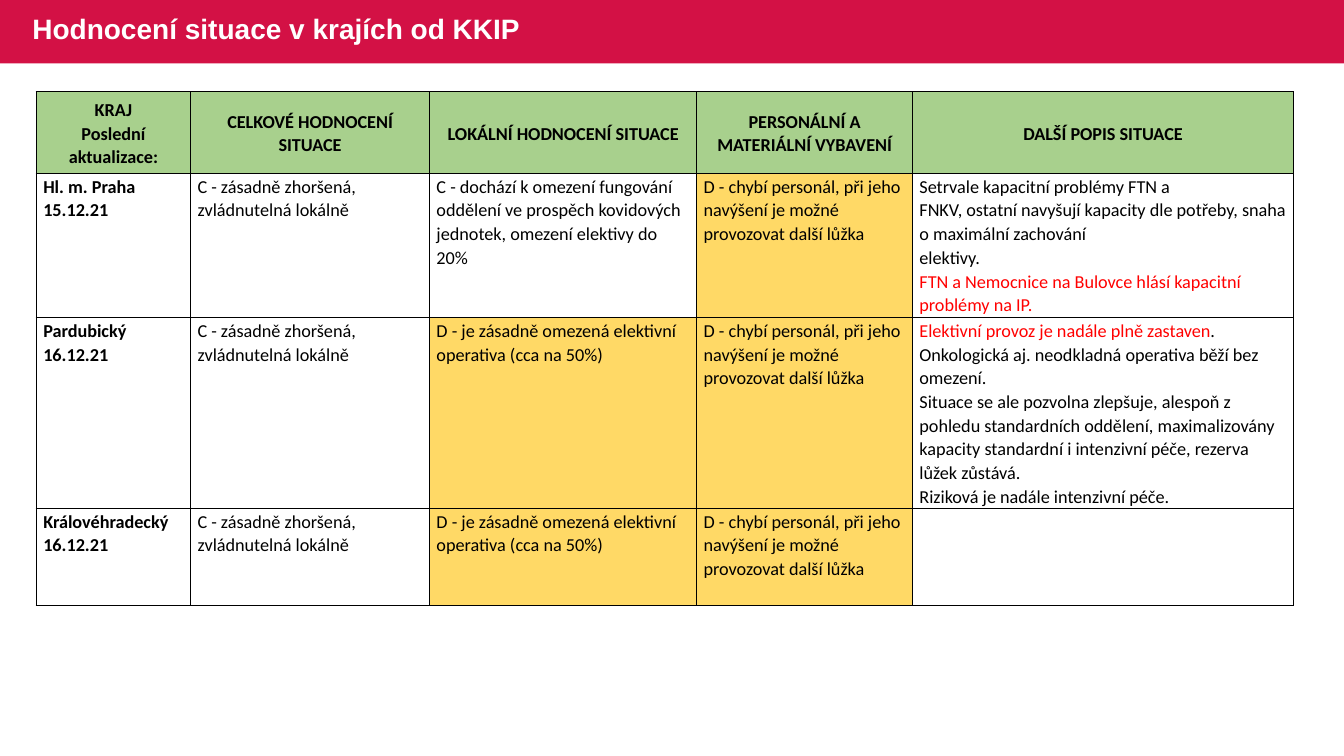
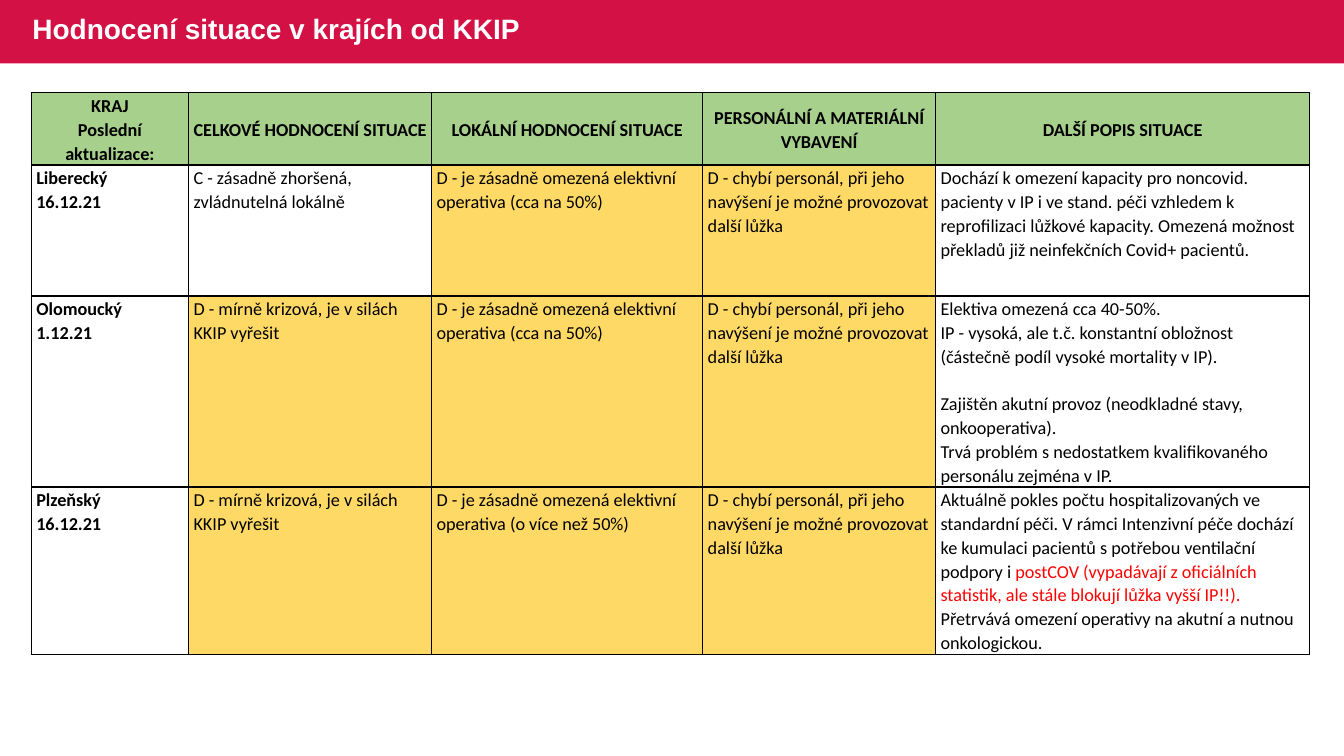
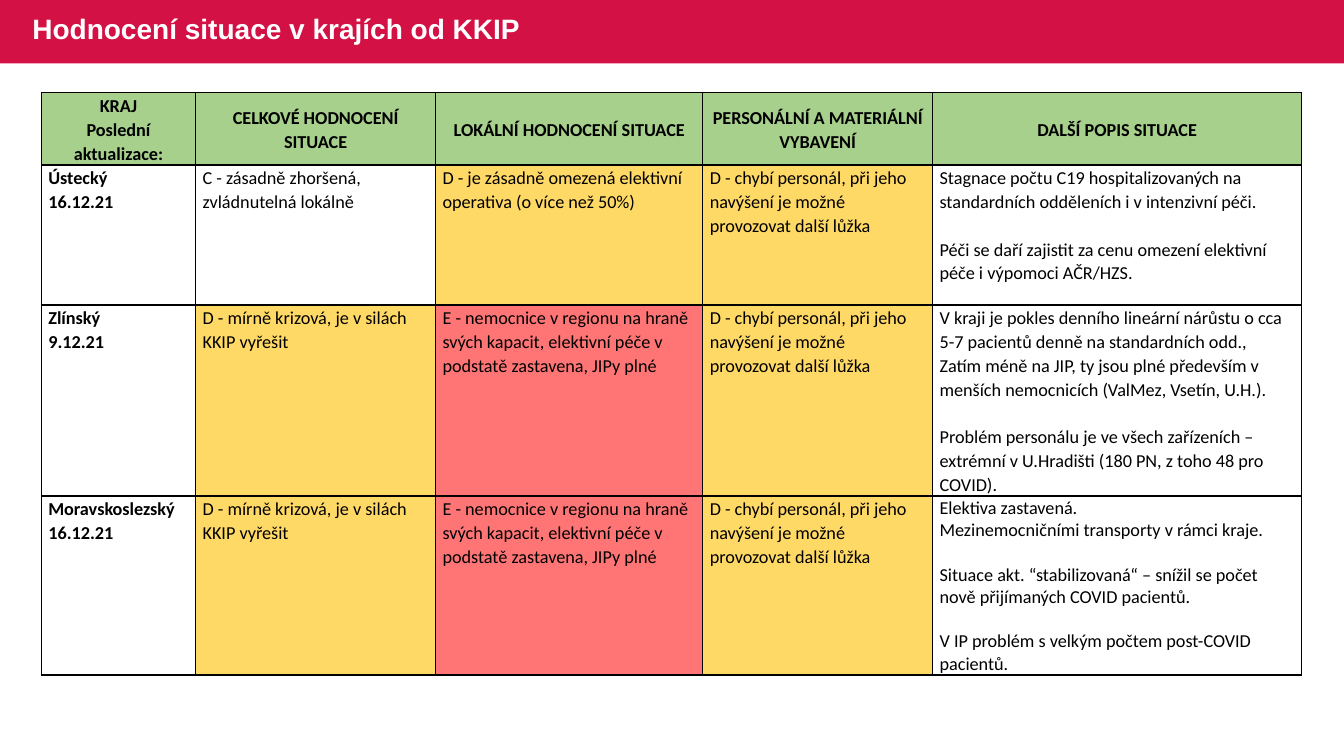
from dataclasses import dataclass

from lxml.etree import SubElement
from pptx import Presentation
from pptx.dml.color import RGBColor
from pptx.enum.shapes import MSO_SHAPE
from pptx.enum.text import MSO_ANCHOR, MSO_AUTO_SIZE, PP_ALIGN
from pptx.oxml.ns import qn
from pptx.util import Inches, Pt

CRIMSON, WHITE, BLACK, RED = "D31145", "FFFFFF", "000000", "FF0000"
HEADER_FILL = "A8D08D"
GRADE_FILLS = {"D": "FFD966", "E": "FF7575"}
TITLE = "Hodnocení situace v krajích od KKIP"
BODY_SIZE = 13
LINE_SPACING = 1.07
LINE_HEIGHT = 1.22

HEADERS = [
    "KRAJ\nPoslední aktualizace:",
    "CELKOVÉ HODNOCENÍ SITUACE",
    "LOKÁLNÍ HODNOCENÍ SITUACE",
    "PERSONÁLNÍ A MATERIÁLNÍ VYBAVENÍ",
    "DALŠÍ POPIS SITUACE",
]
WORSENED = "C - zásadně zhoršená, zvládnutelná lokálně"
CRISIS = "D - mírně krizová, je v silách KKIP vyřešit"
LIMITED = (
    "C - dochází k omezení fungování oddělení ve prospěch kovidových jednotek, "
    "omezení elektivy do 20%"
)
HALF = "D - je zásadně omezená elektivní operativa (cca na 50%)"
OVER_HALF = "D - je zásadně omezená elektivní operativa (o více než 50%)"
EDGE = (
    "E - nemocnice v regionu na hraně svých kapacit, elektivní péče v podstatě "
    "zastavena, JIPy plné"
)
STAFF = "D - chybí personál, při jeho navýšení je možné provozovat další lůžka"


@dataclass
class Region:
    """One table row; text between bars in the note is red."""
    name: str
    updated: str
    overall: str
    local: str
    note: str = ""
    note_spacing: float = LINE_SPACING


@dataclass
class Page:
    """The table of one slide, with lengths in inches."""
    left: float
    top: float
    widths: list
    heights: list
    inset: float
    regions: list


PAGES = [
    Page(0.36, 0.91, [1.53, 2.37, 2.65, 2.14, 3.78], [0.81, 1.43, 1.89, 0.96], 0.07, [
        Region("Hl. m. Praha", "15.12.21", WORSENED, LIMITED,
               "Setrvale kapacitní problémy FTN a\n"
               "FNKV, ostatní navyšují kapacity dle potřeby, snaha o maximální zachování\n"
               "elektivy.\n"
               "|FTN a Nemocnice na Bulovce hlásí kapacitní problémy na IP.|"),
        Region("Pardubický", "16.12.21", WORSENED, HALF,
               "|Elektivní provoz je nadále plně zastaven|. Onkologická aj. neodkladná "
               "operativa běží bez omezení.\n"
               "Situace se ale pozvolna zlepšuje, alespoň z pohledu standardních oddělení, "
               "maximalizovány kapacity standardní i intenzivní péče, rezerva lůžek zůstává.\n"
               "Riziková je nadále intenzivní péče."),
        Region("Královéhradecký", "16.12.21", WORSENED, HALF),
    ]),
    Page(0.31, 0.92, [1.56, 2.41, 2.69, 2.31, 3.71], [0.71, 1.3, 1.89, 1.66], 0.05, [
        Region("Liberecký", "16.12.21", WORSENED, HALF,
               "Dochází k omezení kapacity pro noncovid. pacienty v IP i ve stand. péči "
               "vzhledem k reprofilizaci lůžkové kapacity. Omezená možnost překladů již "
               "neinfekčních Covid+ pacientů."),
        Region("Olomoucký", "1.12.21", CRISIS, HALF,
               "Elektiva omezená cca 40-50%.\n"
               "IP - vysoká, ale t.č. konstantní obložnost (částečně podíl vysoké "
               "mortality v IP).\n\n"
               "Zajištěn akutní provoz (neodkladné stavy, onkooperativa).\n"
               "Trvá problém s nedostatkem kvalifikovaného personálu zejména v IP."),
        Region("Plzeňský", "16.12.21", CRISIS, OVER_HALF,
               "Aktuálně pokles počtu hospitalizovaných ve standardní péči. V rámci "
               "Intenzivní péče dochází ke kumulaci pacientů s potřebou ventilační podpory "
               "i |postCOV (vypadávají z oficiálních statistik, ale stále blokují lůžka "
               "vyšší IP!!).|\n"
               "Přetrvává omezení operativy na akutní a nutnou onkologickou."),
    ]),
    Page(0.41, 0.92, [1.53, 2.38, 2.65, 2.28, 3.66], [0.71, 1.39, 1.89, 1.77], 0.07, [
        Region("Ústecký", "16.12.21", WORSENED, OVER_HALF,
               "Stagnace počtu C19 hospitalizovaných na standardních odděleních i v "
               "intenzivní péči.\n\n"
               "Péči se daří zajistit za cenu omezení elektivní péče i výpomoci AČR/HZS."),
        Region("Zlínský", "9.12.21", CRISIS, EDGE,
               "V kraji je pokles denního lineární nárůstu o cca 5-7 pacientů denně na "
               "standardních odd.,\n"
               "Zatím méně na JIP, ty jsou plné především v menších nemocnicích "
               "(ValMez, Vsetín, U.H.).\n\n"
               "Problém personálu je ve všech zařízeních – extrémní v U.Hradišti "
               "(180 PN, z toho 48 pro COVID)."),
        Region("Moravskoslezský", "16.12.21", CRISIS, EDGE,
               "Elektiva zastavená.\n"
               "Mezinemocničními transporty v rámci kraje.\n\n"
               "Situace akt. “stabilizovaná“ – snížil se počet nově přijímaných COVID "
               "pacientů.\n\n"
               "V IP problém s velkým počtem post-COVID pacientů.", 1.0),
    ]),
]


def rgb(color):
    """Turn a hex string into a colour."""
    return RGBColor.from_string(color)


def style(font, name, size, color, bold):
    """Format one font."""
    font.name, font.size, font.bold = name, Pt(size), bold
    font.color.rgb = rgb(color)


def add_band(s, layout, width):
    """Draw the title band and hand it to the layout."""
    sp = s.shapes.add_shape(MSO_SHAPE.RECTANGLE, 0, 0, width, Inches(0.63))
    sp.shadow.inherit = False
    sp.fill.solid()
    sp.fill.fore_color.rgb = rgb(CRIMSON)
    sp.line.fill.background()
    layout.shapes.element.insert(2, sp.element)


def add_title(s):
    """Place the title on the band."""
    sp = s.shapes.title
    sp.left, sp.top = Inches(0.22), Inches(-0.01)
    sp.width, sp.height = Inches(8.14), Inches(0.63)
    tf = sp.text_frame
    tf.text = TITLE
    tf.auto_size = MSO_AUTO_SIZE.NONE
    tf.vertical_anchor = MSO_ANCHOR.MIDDLE
    p = tf.paragraphs[0]
    p.alignment, p.line_spacing = PP_ALIGN.LEFT, 0.9
    style(p.runs[0].font, "Arial", 20, WHITE, True)


def add_borders(cell):
    """Give a cell thin black borders."""
    tc_pr = cell._tc.get_or_add_tcPr()
    for i, side in enumerate(("lnL", "lnR", "lnT", "lnB")):
        ln = SubElement(tc_pr, qn(f"a:{side}"), w=str(Pt(1)))
        fill = SubElement(ln, qn("a:solidFill"))
        SubElement(fill, qn("a:srgbClr"), val=BLACK)
        tc_pr.insert(i, ln)


def fill_cell(cell, text, inset, fill=None, bold=False, header=False, spacing=LINE_SPACING):
    """Format a cell; an empty line in the text becomes space before the next."""
    cell.margin_left = cell.margin_right = Inches(inset)
    cell.margin_top, cell.margin_bottom = Inches(0.01), 0
    cell.vertical_anchor = MSO_ANCHOR.MIDDLE if header else MSO_ANCHOR.TOP
    if fill:
        cell.fill.solid()
        cell.fill.fore_color.rgb = rgb(fill)
    else:
        cell.fill.background()
    add_borders(cell)
    tf = cell.text_frame
    for i, block in enumerate(text.split("\n\n")):
        for j, line in enumerate(block.split("\n")):
            p = tf.add_paragraph() if i or j else tf.paragraphs[0]
            p.alignment = PP_ALIGN.CENTER if header else PP_ALIGN.LEFT
            p.line_spacing = spacing
            if i and not j:
                p.space_before = Pt(round(BODY_SIZE * LINE_HEIGHT * spacing))
            for k, part in enumerate(line.split("|")):
                if part:
                    r = p.add_run()
                    r.text = part
                    style(r.font, "Calibri", BODY_SIZE, RED if k % 2 else BLACK, bold)


def add_region_table(s, page):
    """Build the table of regions at the place the page gives."""
    table = s.shapes.add_table(
        len(page.heights), len(page.widths), Inches(page.left), Inches(page.top),
        Inches(sum(page.widths)), Inches(sum(page.heights))).table
    table.first_row = table.horz_banding = False
    for column, width in zip(table.columns, page.widths):
        column.width = Inches(width)
    for row, height in zip(table.rows, page.heights):
        row.height = Inches(height)
    for col, text in enumerate(HEADERS):
        fill_cell(table.cell(0, col), text, page.inset, HEADER_FILL, bold=True, header=True)
    for row, region in enumerate(page.regions, 1):
        fill_cell(table.cell(row, 0), f"{region.name}\n{region.updated}", page.inset, bold=True)
        for col, text in enumerate((region.overall, region.local, STAFF), 1):
            fill_cell(table.cell(row, col), text, page.inset, GRADE_FILLS.get(text[0]))
        fill_cell(table.cell(row, 4), region.note, page.inset, spacing=region.note_spacing)


def main():
    """Build and save the presentation."""
    prs = Presentation()
    prs.slide_width, prs.slide_height = Inches(13.33), Inches(7.5)
    layout = prs.slide_layouts[5]
    for i, page in enumerate(PAGES):
        s = prs.slides.add_slide(layout)
        if i == 0:
            add_band(s, layout, prs.slide_width)
        add_title(s)
        add_region_table(s, page)
    prs.save("out.pptx")


if __name__ == "__main__":
    main()
